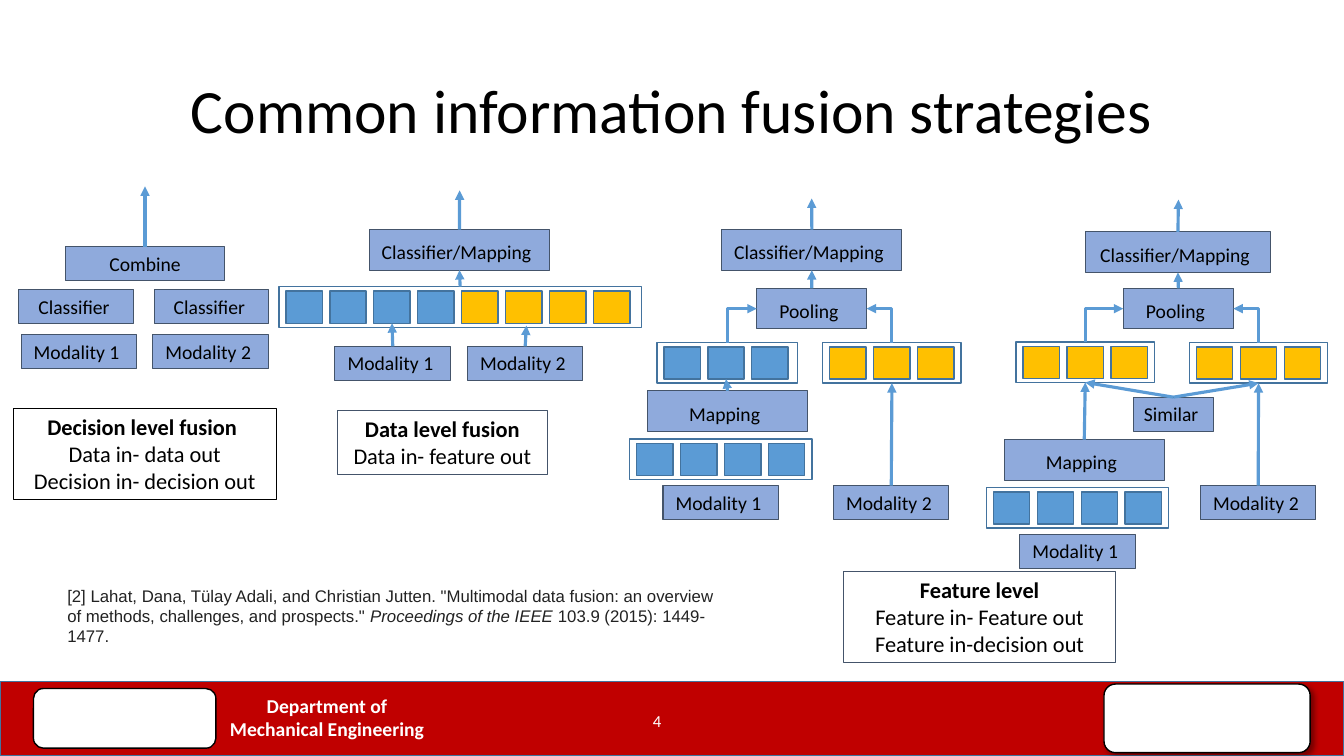
from lxml import etree
from pptx import Presentation
from pptx.dml.color import RGBColor
from pptx.enum.shapes import MSO_CONNECTOR as LINK, MSO_SHAPE as SHAPE
from pptx.enum.text import MSO_ANCHOR as ANCHOR, MSO_AUTO_SIZE as FIT, PP_ALIGN as ALIGN
from pptx.oxml.ns import qn
from pptx.util import Pt

COLORS = {
    "black": "000000", "white": "FFFFFF", "band": "C00000", "label": "8FAADC",
    "slate": "44546A", "blue": "5B9BD5", "edge": "43739E", "gold": "FFC000",
    "citation": "222222",
}
TOP, LEFT, BOTTOM, RIGHT = range(4)
LABEL_HEIGHT, TALL_HEIGHT, MODALITY_WIDTH = 24.3, 29, 82.5
CELL_WIDTH, CELL_HEIGHT, CELL_PITCH = 26, 23, 31.4


def color(name):
    return RGBColor.from_string(COLORS[name])


def is_point(place):
    return isinstance(place[0], (int, float))


def side_point(shape, side):
    """Middle of one side of a shape, in points."""
    x, y = shape.left.pt, shape.top.pt
    width, height = shape.width.pt, shape.height.pt
    return [(x + width / 2, y), (x, y + height / 2),
            (x + width / 2, y + height), (x + width, y + height / 2)][side]


class FusionSlide:
    font = "Calibri"

    def __init__(self, deck):
        self.page = deck.slides.add_slide(deck.slide_layouts[5])
        self.shapes = self.page.shapes

    def put_text(self, shape, paragraphs, size, tint="black", align=ALIGN.CENTER,
                 bold=0, font=None, anchor=ANCHOR.TOP):
        """Each paragraph is a list of (text, run formats); the first `bold` ones are bold."""
        frame = shape.text_frame
        frame.word_wrap, frame.auto_size = True, FIT.NONE
        frame.vertical_anchor = anchor
        for index, spans in enumerate(paragraphs):
            para = frame.add_paragraph() if index else frame.paragraphs[0]
            para.alignment = align
            para.font.name, para.font.size = font or self.font, Pt(size)
            para.font.bold = index < bold
            para.font.color.rgb = color(tint)
            for text, formats in spans:
                span = para.add_run()
                span.text = text
                span.font.size = formats.get("size")
                span.font.italic = formats.get("italic")

    def title(self, text, left, top, width, height):
        box = self.shapes.title
        box.left, box.top, box.width, box.height = map(Pt, (left, top, width, height))
        self.put_text(box, [[(text, {})]], 44, anchor=ANCHOR.MIDDLE)
        box.text_frame.paragraphs[0].line_spacing = 0.9

    def text(self, paragraphs, left, top, width, height, size, tint, **style):
        box = self.shapes.add_textbox(*map(Pt, (left, top, width, height)))
        self.put_text(box, paragraphs, size, tint, **style)

    def box(self, left, top, width, height, fill=None, line="edge", weight=1,
            kind=SHAPE.RECTANGLE):
        shape = self.shapes.add_shape(kind, *map(Pt, (left, top, width, height)))
        shape.shadow.inherit = False
        if fill:
            shape.fill.solid()
            shape.fill.fore_color.rgb = color(fill)
        else:
            shape.fill.background()
        shape.line.color.rgb = color(line)
        shape.line.width = Pt(weight)
        return shape

    def label(self, text, left, top, width, tall=False):
        shape = self.box(left, top, width, TALL_HEIGHT if tall else LABEL_HEIGHT,
                         "label", "slate", 0.75)
        tail = [(" ", {"size": Pt(18)})] if tall else []
        self.put_text(shape, [[(text, {})] + tail], 14)
        return shape

    def modality(self, number, left, top):
        return self.label(f"Modality {number} ", left, top, MODALITY_WIDTH)

    def summary(self, lines, left, top, width, height, line="slate"):
        shape = self.box(left, top, width, height, None, line, 0.75)
        self.put_text(shape, [[(text, {})] for text in lines], 16, bold=1)

    def features(self, left, top, width, fills):
        """A framed row of feature cells; gives the frame and the cells."""
        frame = self.box(left, top, width, TALL_HEIGHT)
        cells = [self.box(left + 5 + CELL_PITCH * i, top + 3.1, CELL_WIDTH, CELL_HEIGHT, fill)
                 for i, fill in enumerate(fills)]
        return frame, cells

    def arrow(self, start, end, kind=LINK.STRAIGHT):
        """Each end is a (shape, side) pair or a plain (x, y) point."""
        spots = [place if is_point(place) else side_point(*place) for place in (start, end)]
        link = self.shapes.add_connector(kind, *map(Pt, spots[0] + spots[1]))
        for place, join in ((start, link.begin_connect), (end, link.end_connect)):
            if not is_point(place):
                join(*place)
        link.line.color.rgb = color("blue")
        link.line.width = Pt(2.25)
        outline = link._element.spPr.find(qn("a:ln"))
        etree.SubElement(outline, qn("a:tailEnd"), type="triangle")
        etree.SubElement(link._element.spPr, qn("a:effectLst"))
        return link, spots

    def elbow(self, start, end):
        """One bend: up from the start, then sideways to the end."""
        link, ((x0, y0), (x1, y1)) = self.arrow(start, end, LINK.ELBOW)
        rise, run = y0 - y1, abs(x1 - x0)
        link.left, link.top = Pt((x0 + x1 - rise) / 2), Pt((y0 + y1 - run) / 2)
        link.width, link.height = Pt(rise), Pt(run)
        properties = link._element.spPr
        properties.find(qn("a:prstGeom")).set("prst", "bentConnector2")
        frame = properties.find(qn("a:xfrm"))
        rightward = x1 > x0
        frame.set("rot", str((90 if rightward else 270) * 60000))
        frame.set("flipH", "1" if rightward else "0")
        frame.set("flipV", "1")

    def plate(self, left, top, width, height, shadow=False):
        shape = self.box(left, top, width, height, "white", "black", 1,
                         SHAPE.ROUNDED_RECTANGLE)
        if shadow:
            effects = shape._element.spPr.find(qn("a:effectLst"))
            outer = etree.SubElement(effects, qn("a:outerShdw"), blurRad=str(Pt(4)),
                                     dist=str(Pt(3)), dir=str(45 * 60000))
            shade = etree.SubElement(outer, qn("a:srgbClr"), val=COLORS["black"])
            etree.SubElement(shade, qn("a:alpha"), val="40000")

    def mapped_modality(self, left, top):
        """Mapping over a feature row over the first modality."""
        mapping = self.label("Mapping", left, top, 114, tall=True)
        self.features(left - 13, top + 34.3, 130.3, ["blue"] * 4)
        self.modality(1, left + 10.9, top + 67.7)
        return mapping

    def pooled(self, classifier_at, pooling_left, rows, tip):
        """Two feature rows pooled into one classifier."""
        classifier = self.label("Classifier/Mapping", *classifier_at, tall=True)
        pooling = self.label("Pooling", pooling_left, 206, 78.6, tall=True)
        self.arrow((pooling, TOP), (classifier, BOTTOM))
        for row, side in zip(rows, (LEFT, RIGHT)):
            self.elbow((row, TOP), (pooling, side))
        self.arrow((classifier, TOP), tip)


def main():
    deck = Presentation()
    deck.slide_width, deck.slide_height = Pt(960), Pt(540)
    slide = FusionSlide(deck)

    # Footer and title
    slide.box(0, 486.7, 960, 53.3, "band")
    slide.plate(23.9, 491.8, 130.3, 42.6)
    slide.text([[("Department of", {})], [("Mechanical Engineering", {})]],
               134.6, 491.8, 198, 41, 14, "white", bold=2)
    slide.plate(788.6, 488.6, 147.3, 49, shadow=True)
    slide.title("Common information fusion strategies", 66, 28.8, 828, 104.4)

    # Decision level fusion
    combine = slide.label("Combine", 46.7, 176.2, 113.8)
    for left in (13.4, 110.1):
        slide.label("Classifier ", left, 206.8, 82)
    for number, left in ((1, 15.1), (2, 109.1)):
        slide.modality(number, left, 239)
    slide.arrow((combine, TOP), (103.6, 133.2))
    slide.summary(["Decision level fusion ", "Data in- data out", "Decision in- decision out"],
                  9.4, 291.6, 188, 65.4, "black")

    # Data level fusion
    classifier = slide.label("Classifier/Mapping", 264, 164, 128.4, tall=True)
    joint, cells = slide.features(199.2, 204.8, 259, ["blue"] * 4 + ["gold"] * 4)
    first, second = (slide.modality(n, left, 247.4) for n, left in ((1, 239.3), (2, 333.9)))
    slide.arrow((first, TOP), (cells[2], BOTTOM))
    slide.arrow((second, TOP), (376, 232.6))
    slide.arrow((joint, TOP), (classifier, BOTTOM))
    slide.arrow((classifier, TOP), (328.3, 136))
    slide.summary(["Data level fusion", "Data in- feature out"], 241, 293, 150, 46)

    # Feature level fusion with one mapped modality
    mapping = slide.mapped_modality(462.7, 279.2)
    left_row, cells = slide.features(469.2, 244.7, 100.6, ["blue"] * 3)
    right_row, _ = slide.features(587.7, 244.7, 98.8, ["gold"] * 3)
    second = slide.modality(2, 595.4, 346.9)
    slide.arrow((second, TOP), (right_row, BOTTOM))
    slide.arrow((mapping, TOP), (cells[1], BOTTOM))
    slide.pooled((515.7, 164, 128.4), 540.5, (left_row, right_row), (579.8, 141.8))

    # Feature level fusion with similar features
    mapping = slide.mapped_modality(717.5, 314)
    left_row, _ = slide.features(725.8, 244.2, 98.8, ["gold"] * 3)
    right_row, _ = slide.features(849.6, 244.7, 98.8, ["gold"] * 3)
    second = slide.modality(2, 857.5, 346.9)
    similar = slide.label("Similar ", 809.4, 283.7, 57.4)
    for source, row in ((second, right_row), (similar, left_row),
                        (similar, right_row), (mapping, left_row)):
        slide.arrow((source, TOP), (row, BOTTOM))
    slide.pooled((775.4, 165.6, 132), 802.4, (left_row, right_row), (841.8, 142.6))
    slide.summary(["Feature level", "Feature in- Feature out", "Feature in-decision out"],
                  602.6, 408.2, 194.4, 65.4)

    # Page number and citation
    slide.text([[("4", {})]], 361.4, 500.5, 216, 28.8, 12, "white", anchor=ANCHOR.MIDDLE)
    slide.text([[("[2] Lahat, Dana, Tülay Adali, and Christian Jutten. \"Multimodal data fusion: "
                  "an overview of methods, challenges, and prospects.\" ", {}),
                 ("Proceedings of the IEEE", {"italic": True}),
                 (" 103.9 (2015): 1449-1477.", {})]],
               41, 414.7, 480.2, 51, 12, "citation", align=ALIGN.LEFT, font="Arial")

    deck.save("out.pptx")


if __name__ == "__main__":
    main()
